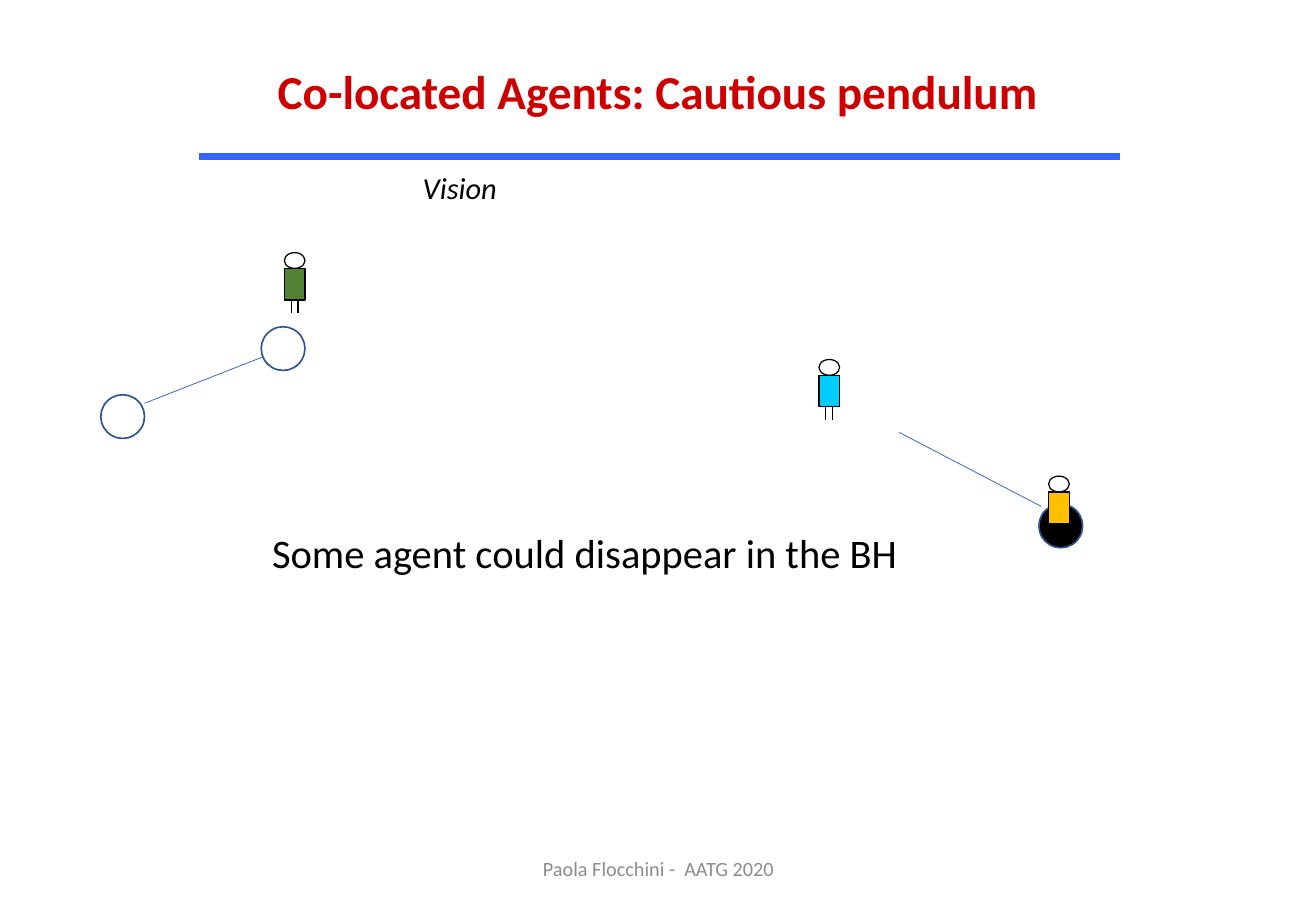
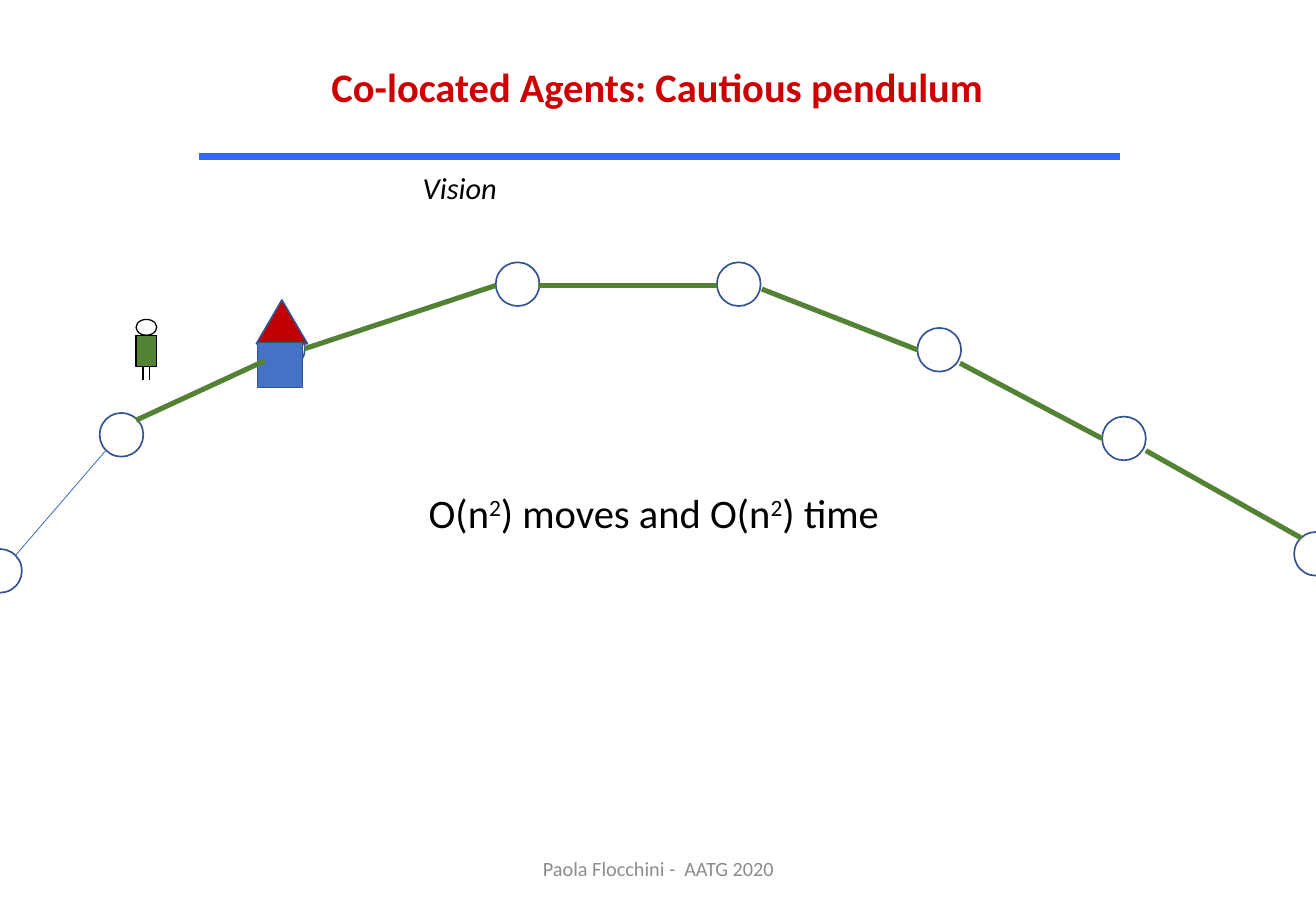
import pptx
import pptx.dml.color
import pptx.enum.shapes
import pptx.enum.text
import pptx.oxml.ns
import pptx.util
from lxml import etree

Inches = pptx.util.Inches
Pt = pptx.util.Pt
SHAPE = pptx.enum.shapes.MSO_SHAPE
ALIGN = pptx.enum.text.PP_ALIGN
ANCHOR = pptx.enum.text.MSO_ANCHOR
AUTO_SIZE = pptx.enum.text.MSO_AUTO_SIZE

COLORS = {
    "title": "CC0000", "rule": "3366FF", "text": "000000", "footer": "8C8C8C",
    "outline": "325491", "edge": "4472C4", "path": "548235",
    "node": "FFFFFF", "black hole": "000000", "roof": "C00000", "wall": "4472C4",
    "green agent": "548235", "cyan agent": "00CCFF", "orange agent": "FFC000",
}
FONT = "Calibri"
NODE_SIZE = 0.36
EDGE_WIDTHS = {"edge": 0.5, "path": 3}
TITLE = "Co-located Agents: Cautious pendulum"
SUBTITLE = "Vision"
FOOTER = "Paola Flocchini -  AATG 2020"

# nodes: left, top, colour; agents: left, top, colour; edges: start, end, colour
# message: box, wrap, then (text, is superscript) runs
SLIDES = [
    {
        "title size": 28, "title height": 0.57,
        "nodes": [(2.15, 2.69, "node"), (0.83, 3.25, "node"), (8.55, 4.15, "black hole")],
        "house": None,
        "edges": [((7.4, 3.56), (8.57, 4.17), "edge"), ((1.19, 3.32), (2.16, 2.94), "edge")],
        "agents": [(2.34, 2.08, "green agent"), (6.74, 2.96, "cyan agent"),
                   (8.63, 3.92, "orange agent")],
        "message": ((2.14, 4.3, 5.85, 0.5), True,
                    [("Some agent could disappear in the BH", False)]),
    },
    {
        "title size": 24, "title height": 0.5,
        "nodes": [(left, top, "node") for left, top in [
            (-0.18, 4.52), (0.82, 3.4), (2.15, 2.69), (4.08, 2.16),
            (5.9, 2.16), (7.55, 2.7), (9.07, 3.43), (10.65, 4.38)]],
        "house": (2.11, 2.47),
        "edges": [
            ((0.13, 4.57), (0.87, 3.71), "edge"), ((1.12, 3.46), (2.18, 2.97), "path"),
            ((2.51, 2.87), (4.08, 2.35), "path"), ((4.43, 2.35), (5.9, 2.35), "path"),
            ((6.27, 2.38), (7.55, 2.88), "path"), ((7.9, 2.99), (9.07, 3.61), "path"),
            ((9.43, 3.71), (10.71, 4.43), "path")],
        "agents": [(1.12, 2.63, "green agent")],
        "message": ((3.43, 3.97, 3.97, 0.5), False,
                    [("O(n", False), ("2", True), (") moves and O(n", False),
                     ("2", True), (") time", False)]),
    },
]


def rgb(name):
    return pptx.dml.color.RGBColor.from_string(COLORS[name])


def add_shape(shapes, kind, box, fill, line="outline", width=1):
    shape = shapes.add_shape(kind, *map(Inches, box))
    shape.shadow.inherit = False
    if fill:
        shape.fill.solid()
        shape.fill.fore_color.rgb = rgb(fill)
    else:
        shape.fill.background()
    shape.line.color.rgb = rgb(line)
    shape.line.width = Pt(width)


def add_line(shapes, start, end, color, width):
    connector = shapes.add_connector(
        pptx.enum.shapes.MSO_CONNECTOR.STRAIGHT, *map(Inches, (*start, *end)))
    connector.line.color.rgb = rgb(color)
    connector.line.width = Pt(width)
    etree.SubElement(connector._element.spPr, pptx.oxml.ns.qn("a:effectLst"))


def add_text(slide, box, runs, size, color="text", align=ALIGN.LEFT,
             bold=False, italic=False, wrap=True, grow=True):
    frame = slide.shapes.add_textbox(*map(Inches, box)).text_frame
    frame.word_wrap = wrap
    frame.auto_size = AUTO_SIZE.SHAPE_TO_FIT_TEXT if grow else AUTO_SIZE.NONE
    frame.vertical_anchor = ANCHOR.TOP if grow else ANCHOR.MIDDLE
    paragraph = frame.paragraphs[0]
    paragraph.alignment = align
    for text, superscript in runs:
        run = paragraph.add_run()
        run.text = text
        if superscript:
            run.font._element.set("baseline", "30000")
    font = paragraph.font
    font.name, font.size, font.bold, font.italic = FONT, Pt(size), bold, italic
    font.color.rgb = rgb(color)


def add_agent(slide, left, top, color):
    shapes = slide.shapes.add_group_shape().shapes
    width, head, body, leg = 0.17, 0.13, 0.26, 0.11
    hip = top + head + body
    add_shape(shapes, SHAPE.OVAL, (left, top, width, head), None, "text", 0.75)
    add_shape(shapes, SHAPE.RECTANGLE, (left, top + head, width, body), color, "text", 0.75)
    for x in (left + width / 3, left + width * 2 / 3):
        add_line(shapes, (x, hip), (x, hip + leg), "text", 0.75)


def add_house(slide, left, top):
    add_shape(slide.shapes, SHAPE.ISOSCELES_TRIANGLE, (left, top, 0.42, 0.36), "roof")
    add_shape(slide.shapes, SHAPE.RECTANGLE, (left + 0.01, top + 0.35, 0.37, 0.37), "wall")


def add_frame(slide, content):
    """Add the title, rule, subtitle and footer that all slides share."""
    add_text(slide, (3.59, 6.95, 3.66, 0.4), [(FOOTER, False)], 12, "footer",
             ALIGN.CENTER, grow=False)
    add_line(slide.shapes, (1.64, 1.29), (9.22, 1.29), "rule", 4)
    add_text(slide, (2.14, 0.46, 6.54, content["title height"]), [(TITLE, False)],
             content["title size"], "title", ALIGN.CENTER, bold=True)
    add_text(slide, (3.38, 1.34, 5.42, 0.4), [(SUBTITLE, False)], 18, italic=True)


def main():
    presentation = pptx.Presentation()
    presentation.slide_width = Inches(10.83)
    presentation.slide_height = Inches(7.5)
    for content in SLIDES:
        slide = presentation.slides.add_slide(presentation.slide_layouts[6])
        add_frame(slide, content)
        for left, top, color in content["nodes"]:
            add_shape(slide.shapes, SHAPE.OVAL, (left, top, NODE_SIZE, NODE_SIZE), color)
        if content["house"]:
            add_house(slide, *content["house"])
        for start, end, color in content["edges"]:
            add_line(slide.shapes, start, end, color, EDGE_WIDTHS[color])
        for agent in content["agents"]:
            add_agent(slide, *agent)
        box, wrap, runs = content["message"]
        add_text(slide, box, runs, 24, wrap=wrap)
    presentation.save("out.pptx")


if __name__ == "__main__":
    main()
